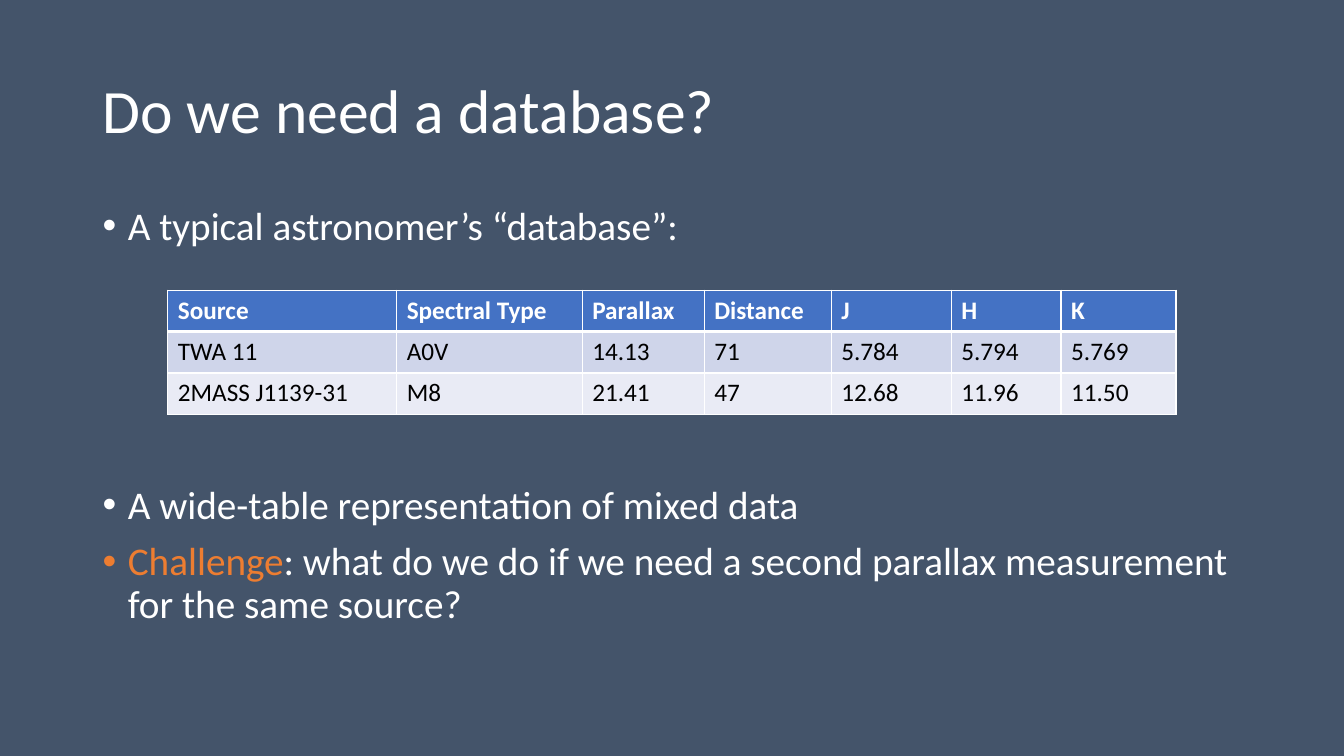
from lxml import etree
from pptx import Presentation
from pptx.dml.color import RGBColor
from pptx.enum.text import MSO_ANCHOR
from pptx.oxml.ns import qn
from pptx.util import Inches, Pt

MIDDLE = MSO_ANCHOR.MIDDLE
FONT = "Calibri"
COLORS = {
    "background": "44546A",
    "light": "FFFFFF",
    "dark": "000000",
    "accent": "ED7D31",
    "header": "4472C4",
    "odd_row": "CFD5EA",
    "even_row": "E9EBF5",
}
WIDTH, HEIGHT = 13.33, 7.5
MARGIN = 0.92
CONTENT_WIDTH = WIDTH - 2 * MARGIN

# Each bullet: space before in points, then its runs as (text, color)
BULLETS = [
    (0, [("A typical astronomer’s “database”:", "light")]),
    (169, [("A wide-table representation of mixed data", "light")]),
    (10, [("Challenge", "accent"),
          (": what do we do if we need a second parallax measurement "
           "for the same source?", "light")]),
]
COLUMN_WIDTHS = [2.27, 1.84, 1.21, 1.26, 1.19, 1.09, 1.14]
SOURCES = [
    ["Source", "Spectral Type", "Parallax", "Distance", "J", "H", "K"],
    ["TWA 11", "A0V", "14.13", "71", "5.784", "5.794", "5.769"],
    ["2MASS J1139-31", "M8", "21.41", "47", "12.68", "11.96", "11.50"],
]


def color(name):
    return RGBColor.from_string(COLORS[name])


def style_font(font, size, color_name, bold=False):
    font.name = FONT
    font.size = Pt(size)
    font.bold = bold
    font.color.rgb = color(color_name)


def add_text_frame(slide, box):
    text_frame = slide.shapes.add_textbox(*map(Inches, box)).text_frame
    text_frame.word_wrap = True
    return text_frame


def add_title(slide, box, text):
    text_frame = add_text_frame(slide, box)
    text_frame.vertical_anchor = MIDDLE
    text_frame.text = text
    paragraph = text_frame.paragraphs[0]
    paragraph.line_spacing = 0.9
    style_font(paragraph.runs[0].font, 44, "light")


def add_bullets(slide, box, bullets):
    text_frame = add_text_frame(slide, box)
    for index, (space_before, runs) in enumerate(bullets):
        paragraph = text_frame.add_paragraph() if index else text_frame.paragraphs[0]
        properties = paragraph._p.get_or_add_pPr()
        properties.set("marL", str(Inches(0.25)))
        properties.set("indent", str(-Inches(0.25)))
        etree.SubElement(properties, qn("a:buFont")).set("typeface", "Arial")
        etree.SubElement(properties, qn("a:buChar")).set("char", "•")
        paragraph.line_spacing = 0.9
        paragraph.space_before = Pt(space_before)
        for text, color_name in runs:
            run = paragraph.add_run()
            run.text = text
            style_font(run.font, 28, color_name)


def set_borders(cell, widths):
    properties = cell._tc.get_or_add_tcPr()
    for side, width in zip(("a:lnL", "a:lnR", "a:lnT", "a:lnB"), widths):
        line = etree.SubElement(properties, qn(side), w=str(Pt(width)))
        fill = etree.SubElement(line, qn("a:solidFill"))
        etree.SubElement(fill, qn("a:srgbClr"), val=COLORS["light"])


def add_source_table(slide, left, top, row_height, column_widths, rows):
    table = slide.shapes.add_table(
        len(rows), len(column_widths), Inches(left), Inches(top),
        Inches(sum(column_widths)), Inches(row_height * len(rows))).table
    for column, width in zip(table.columns, column_widths):
        column.width = Inches(width)
    row_fills = ["header", "odd_row", "even_row"]
    for row_index, values in enumerate(rows):
        is_header = row_index == 0
        table.rows[row_index].height = Inches(row_height)
        for column_index, value in enumerate(values):
            cell = table.cell(row_index, column_index)
            # A heavy rule separates the header from the data
            top_width = 3 if row_index == 1 else 1
            set_borders(cell, (1, 1, top_width, 3 if is_header else 1))
            cell.fill.solid()
            cell.fill.fore_color.rgb = color(row_fills[row_index])
            cell.text_frame.text = value
            style_font(cell.text_frame.paragraphs[0].runs[0].font, 18,
                       "light" if is_header else "dark", is_header)


def build_database_slide(presentation):
    slide = presentation.slides.add_slide(presentation.slide_layouts[6])
    slide.background.fill.solid()
    slide.background.fill.fore_color.rgb = color("background")

    # Title, bullets, and the table in the gap after the first bullet
    add_title(slide, (MARGIN, 0.4, CONTENT_WIDTH, 1.45), "Do we need a database?")
    add_bullets(slide, (MARGIN, 2, CONTENT_WIDTH, 4.7), BULLETS)
    table_left = (WIDTH - sum(COLUMN_WIDTHS)) / 2
    add_source_table(slide, table_left, 2.88, 0.41, COLUMN_WIDTHS, SOURCES)


def main():
    presentation = Presentation()
    presentation.slide_width = Inches(WIDTH)
    presentation.slide_height = Inches(HEIGHT)
    build_database_slide(presentation)
    presentation.save("out.pptx")


if __name__ == "__main__":
    main()
